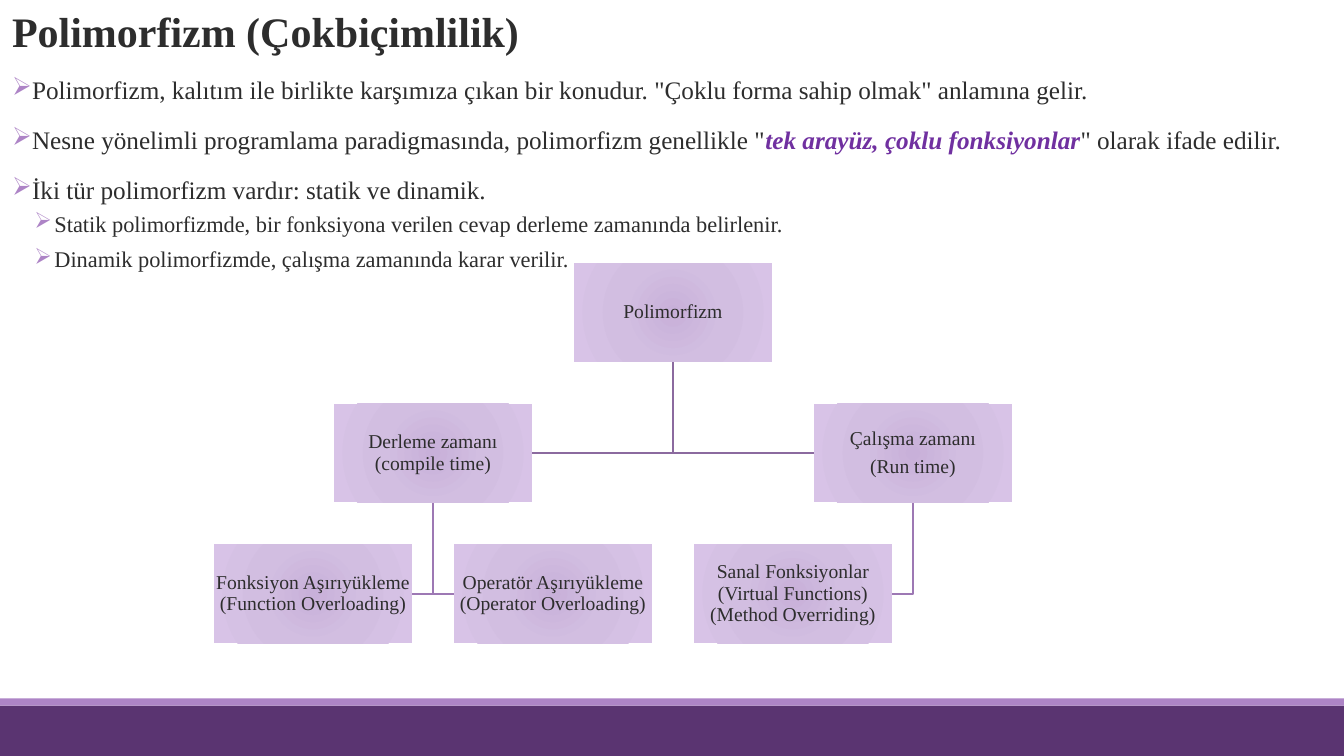
from lxml import etree
from pptx import Presentation
from pptx import util as u
from pptx.dml.color import RGBColor
from pptx.enum import shapes, text
from pptx.oxml import ns

COLORS = {
    "ink": "2D2D2D", "accent": "7030A0", "band": "5A3471", "strip": "AD84C6",
    "trunk": "8B6A9F", "branch": "9D78B4",
    "core": "C8B0D9", "mid": "D2BEE1", "rim": "D8C3E7",
}
FONT = "Times New Roman"


def rgb(name):
    return RGBColor.from_string(COLORS[name])


def sub(parent, tag, **attrs):
    return etree.SubElement(parent, ns.qn(tag), attrs)


def write(par, words, size=14, color="ink", bold=False, italic=False):
    """Add words to a paragraph; a newline becomes a line break."""
    for i, line in enumerate(words.split("\n")):
        if i:
            par.add_line_break()
        run = par.add_run()
        run.text = line
        font = run.font
        font.name, font.size = FONT, u.Pt(size)
        font.bold, font.italic = bold, italic
        font.color.rgb = rgb(color)


class Deck:
    def __init__(self):
        self.prs = Presentation()
        self.prs.slide_width = u.Inches(13.33)
        self.prs.slide_height = u.Inches(7.5)
        self.slide = self.prs.slides.add_slide(self.prs.slide_layouts[6])
        self.shapes = self.slide.shapes

    def frame(self, shape, anchor, side, top):
        frame = shape.text_frame
        frame.word_wrap = True
        frame.vertical_anchor = anchor
        frame.margin_left = frame.margin_right = u.Inches(side)
        frame.margin_top = frame.margin_bottom = u.Inches(top)
        return frame

    def rect(self, *at):
        shape = self.shapes.add_shape(shapes.MSO_SHAPE.RECTANGLE, *map(u.Inches, at))
        shape.shadow.inherit = False
        shape.line.fill.background()
        return shape

    def bar(self, top, height, color):
        fill = self.rect(0, top, 13.33, height).fill
        fill.solid()
        fill.fore_color.rgb = rgb(color)

    def box(self, at, anchor):
        shape = self.shapes.add_textbox(*map(u.Inches, at))
        return self.frame(shape, anchor, 0, 0.05)

    def space(self, par, before, after, line=None):
        par.space_before, par.space_after = u.Pt(before), u.Pt(after)
        if line:
            par.line_spacing = line

    def bullet(self, par, left, hang):
        props = par._p.get_or_add_pPr()
        props.set("marL", str(u.Inches(left)))
        props.set("indent", str(-u.Inches(hang)))
        sub(sub(props, "a:buClr"), "a:srgbClr", val=COLORS["strip"])
        sub(props, "a:buChar", char="➢")

    def glow(self, shape):
        """Fill a shape with a radial gradient."""
        shape.fill.gradient()
        grad = shape._element.spPr.find(ns.qn("a:gradFill"))
        for child in list(grad):
            grad.remove(child)
        stops = sub(grad, "a:gsLst")
        for pos, name in ((0, "core"), (45, "mid"), (100, "rim")):
            stop = sub(stops, "a:gs", pos=str(pos * 1000))
            sub(stop, "a:srgbClr", val=COLORS[name])
        sub(sub(grad, "a:path", path="circle"), "a:fillToRect",
            **dict.fromkeys("ltrb", "100000"))

    def node(self, x, y, w, h, label):
        shape = self.rect(x, y, w, h)
        self.glow(shape)
        frame = self.frame(shape, text.MSO_ANCHOR.MIDDLE, 0.01, 0.01)
        for i, words in enumerate(label):
            par = frame.add_paragraph() if i else frame.paragraphs[0]
            par.alignment = text.PP_ALIGN.CENTER
            self.space(par, 0, 5, 0.9)
            write(par, words)

    def elbow(self, points, color):
        pts = [(u.Inches(x), u.Inches(y)) for x, y in points]
        form = self.shapes.build_freeform(*pts[0])
        form.add_line_segments(pts[1:], close=False)
        shape = form.convert_to_shape()
        shape.shadow.inherit = False
        shape.fill.background()
        shape.line.color.rgb = rgb(color)
        shape.line.width = u.Pt(1.25)


def main():
    deck = Deck()

    # Footer bands
    deck.bar(7, 0.5, "band")
    deck.bar(6.93, 0.07, "strip")

    # Title
    par = deck.box((0.12, 0, 13.21, 0.67), text.MSO_ANCHOR.MIDDLE).paragraphs[0]
    deck.space(par, 12, 2, 0.9)
    write(par, "Polimorfizm (Çokbiçimlilik)", size=30, bold=True)

    # Bullets: level, then runs of (words, emphasis)
    points = [
        (0, [("Polimorfizm, kalıtım ile birlikte karşımıza çıkan bir konudur. "
              "\"Çoklu forma sahip olmak\" anlamına gelir.", False)]),
        (0, [("Nesne yönelimli programlama paradigmasında, polimorfizm genellikle \"", False),
             ("tek arayüz, çoklu fonksiyonlar", True),
             ("\" olarak ifade edilir.", False)]),
        (0, [("İki tür polimorfizm vardır: statik ve dinamik.", False)]),
        (1, [("Statik polimorfizmde, bir fonksiyona verilen cevap "
              "derleme zamanında belirlenir.", False)]),
        (1, [("Dinamik polimorfizmde, çalışma zamanında karar verilir.", False)]),
    ]
    levels = [(18, 12, 2, 0.1, 0.1), (16, 2, 4, 0.42, 0.2)]
    body = deck.box((0.12, 0.69, 13.1, 6.38), text.MSO_ANCHOR.TOP)
    for i, (level, runs) in enumerate(points):
        size, before, after, left, hang = levels[level]
        par = body.add_paragraph() if i else body.paragraphs[0]
        par.level = level
        par.alignment = text.PP_ALIGN.JUSTIFY
        deck.space(par, before, after)
        deck.bullet(par, left, hang)
        for words, strong in runs:
            write(par, words, size=size, color="accent" if strong else "ink",
                  bold=strong, italic=strong)

    # Tree: column, row, parent, paragraphs
    nodes = {
        "root": (3, 0, None, ["Polimorfizm"]),
        "static": (1, 1, "root", ["Derleme zamanı (compile time)"]),
        "func": (0, 2, "static", ["Fonksiyon Aşırıyükleme\n(Function Overloading)"]),
        "oper": (2, 2, "static", ["Operatör Aşırıyükleme\n(Operator Overloading)"]),
        "run": (5, 1, "root", ["Çalışma zamanı", "(Run time)"]),
        "virt": (4, 2, "run", ["Sanal Fonksiyonlar (Virtual Functions)\n(Method Overriding)"]),
    }
    wide, high = 1.97, 0.98
    spots = {key: (2.12 + 1.19 * col, 2.61 + 1.395 * row)
             for key, (col, row, *_) in nodes.items()}

    # Lines run down from the parent, then across to the child's near side
    for key, (_, row, parent, _) in nodes.items():
        if parent:
            (px, py), (x, y) = spots[parent], spots[key]
            stem, mid = px + wide / 2, y + high / 2
            edge = x if x > px else x + wide
            deck.elbow([(stem, py + high), (stem, mid), (edge, mid)],
                       "trunk" if row == 1 else "branch")
    for key, (*_, label) in nodes.items():
        deck.node(*spots[key], wide, high, label)

    deck.prs.save("out.pptx")


if __name__ == "__main__":
    main()
